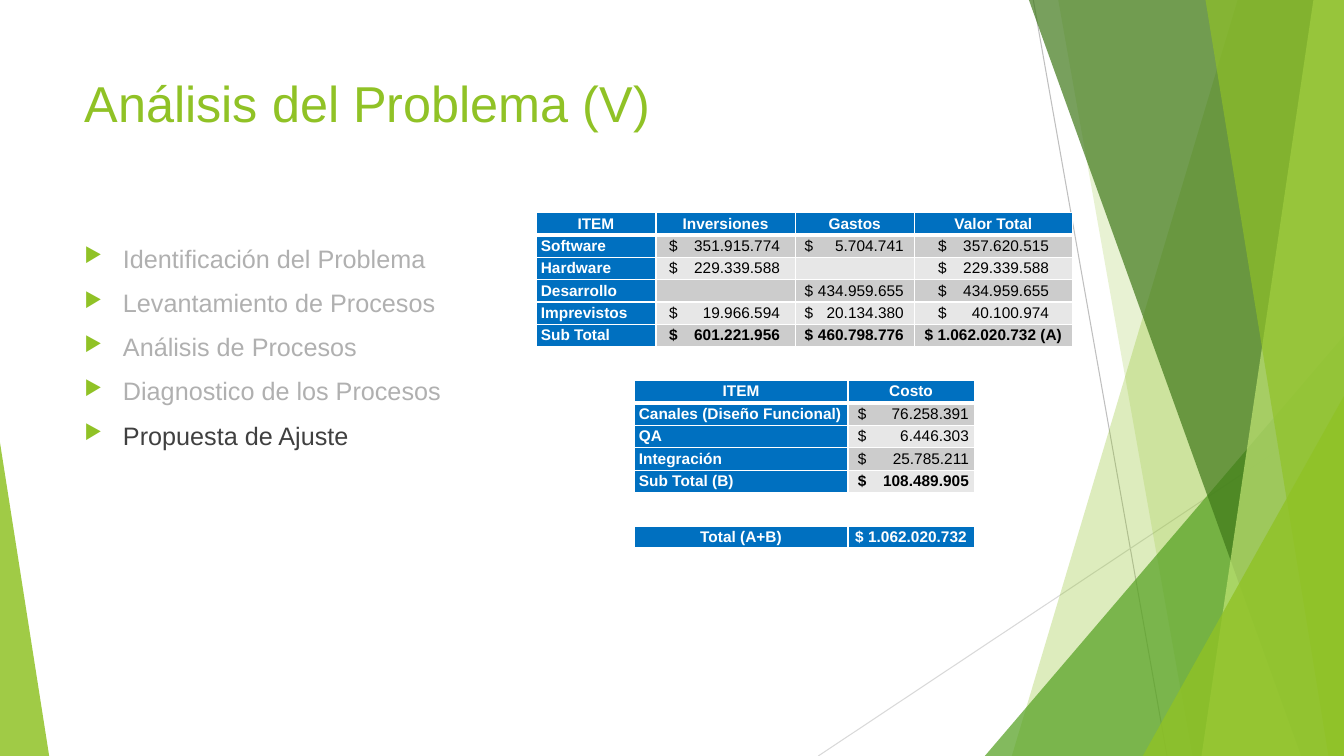
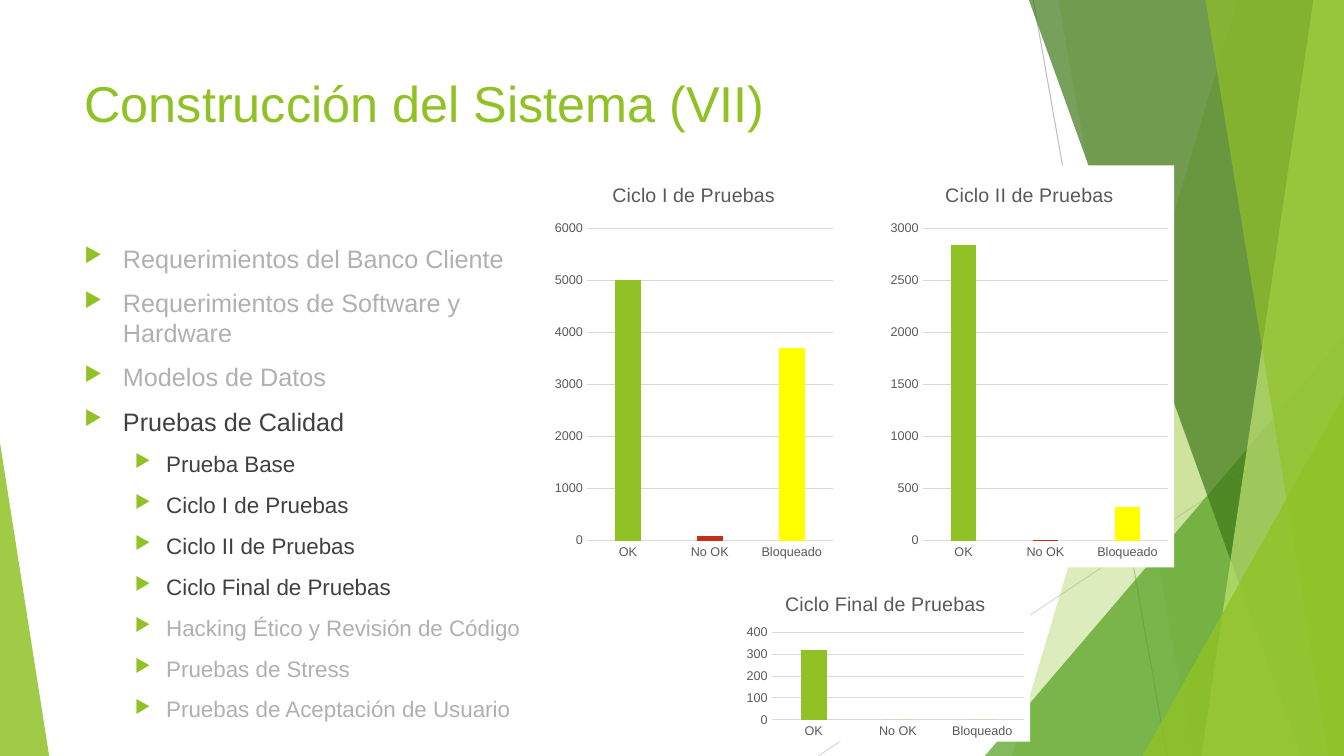
from lxml import etree
from pptx import Presentation
from pptx.chart.data import CategoryChartData
from pptx.dml.color import RGBColor
from pptx.enum.chart import XL_CHART_TYPE, XL_TICK_MARK
from pptx.enum.shapes import MSO_CONNECTOR, MSO_SHAPE
from pptx.enum.text import MSO_ANCHOR, PP_ALIGN
from pptx.oxml import parse_xml
from pptx.oxml.ns import nsdecls, qn
from pptx.util import Cm, Pt

COLUMNS = XL_CHART_TYPE.COLUMN_CLUSTERED
NO_TICK = XL_TICK_MARK.NONE
STRAIGHT = MSO_CONNECTOR.STRAIGHT
TRIANGLE = MSO_SHAPE.ISOSCELES_TRIANGLE
MIDDLE = MSO_ANCHOR.MIDDLE
LEFT, CENTER = PP_ALIGN.LEFT, PP_ALIGN.CENTER

FONT = "Arial"
GREEN, DARK, MUTED = "90C226", "404040", "B0B0B0"
BLUE, WHITE, BLACK = "0070C0", "FFFFFF", "000000"
BANDING = ("E7E7E7", "CCCCCC")
CHART_TEXT, CHART_LINE = "595959", "D9D9D9"
POINT_COLORS = (GREEN, "C42F1A", "FFFF00")

WIDTH, HEIGHT = 33.87, 19.05
INSET = 0.12

RAYS = [
    (26.04, 0, 29.41, HEIGHT, "BFBFBF"),
    (WIDTH, 10.24, 20.62, HEIGHT, "D9D9D9"),
]
FACETS = [
    ("band", (31.19, 25.5), GREEN, 30),
    ("band", (26.67, 30.05), GREEN, 20),
    ("triangle", (24.82, 8.46, WIDTH, 1), "54A021", 72),
    ("band", (25.93, 32.79), "3F7819", 70),
    ("band", (33.1, 30.28), "C0E474", 70),
    ("band", (30.38, 33.48), GREEN, 65),
    ("triangle", (28.8, 9.98, WIDTH, 1), GREEN, 80),
    ("triangle", (0, 11.15, 1.24, 0), GREEN, 85),
]

LEVELS = [(18, 0.97, 0.97), (16, 2.06, 0.79)]

PROBLEM_TITLE = "Análisis del Problema (V)"
PROBLEM_TOPICS = [
    ("Identificación del Problema", 0, MUTED),
    ("Levantamiento de Procesos", 0, MUTED),
    ("Análisis de Procesos", 0, MUTED),
    ("Diagnostico de los Procesos", 0, MUTED),
    ("Propuesta de Ajuste", 0, DARK),
]
LABEL_INSET_TAB = (INSET, 0)
COST_COLUMNS = [(5.39, *LABEL_INSET_TAB), (3.18, 0.25, 2.8)]
COST_TABLES = [
    {
        "place": (13.51, 5.36, 3.38),
        "columns": [(3.02, *LABEL_INSET_TAB), (3.51, 0.33, 2.8), (3, 0.24, 2.5), (3.99, 0.6, 2.8)],
        "rows": [
            ("ITEM", "Inversiones", "Gastos", "Valor Total"),
            ("Software", "$\t351.915.774", "$\t5.704.741", "$\t357.620.515"),
            ("Hardware", "$\t229.339.588", "", "$\t229.339.588"),
            ("Desarrollo", "", "$\t434.959.655", "$\t434.959.655"),
            ("Imprevistos", "$\t19.966.594", "$\t20.134.380", "$\t40.100.974"),
            ("Sub Total", "$\t601.221.956", "$\t460.798.776", "$ 1.062.020.732 (A)"),
        ],
    },
    {
        "place": (15.98, 9.58, 2.84),
        "columns": COST_COLUMNS,
        "rows": [
            ("ITEM", "Costo"),
            ("Canales (Diseño Funcional)", "$\t76.258.391"),
            ("QA", "$\t6.446.303"),
            ("Integración", "$\t25.785.211"),
            ("Sub Total (B)", "$\t108.489.905"),
        ],
    },
    {
        "place": (15.98, 13.26, 0.56),
        "columns": COST_COLUMNS,
        "rows": [("Total (A+B)", "$ 1.062.020.732")],
    },
]

BUILD_TITLE = "Construcción del Sistema (VII)"
BUILD_TOPICS = [
    ("Requerimientos del Banco Cliente", 0, MUTED),
    ("Requerimientos de Software y Hardware", 0, MUTED),
    ("Modelos de Datos", 0, MUTED),
    ("Pruebas de Calidad", 0, DARK),
    ("Prueba Base", 1, DARK),
    ("Ciclo I de Pruebas", 1, DARK),
    ("Ciclo II de Pruebas", 1, DARK),
    ("Ciclo Final de Pruebas", 1, DARK),
    ("Hacking Ético y Revisión de Código", 1, MUTED),
    ("Pruebas de Stress", 1, MUTED),
    ("Pruebas de Aceptación de Usuario", 1, MUTED),
]
OUTCOMES = ("OK", "No OK", "Bloqueado")
CYCLES = [
    ("Ciclo I de Pruebas", (5000, 100, 3700), 6000, 1000, (13.84, 4.17, 7.29, 10.13)),
    ("Ciclo II de Pruebas", (2840, 10, 320), 3000, 500, (22.3, 4.17, 7.29, 10.13)),
    ("Ciclo Final de Pruebas", (320, 0, 0), 400, 100, (18.67, 14.6, 7.29, 4.09)),
]


def rgb(value):
    return RGBColor.from_string(value)


def cm(values):
    return [Cm(value) for value in values]


def style_font(font, size, color, bold=False):
    font.name, font.size, font.bold = FONT, Pt(size), bold
    font.color.rgb = rgb(color)


def write(paragraph, text, size=18, color=DARK, bold=False, align=LEFT):
    paragraph.alignment = align
    if text:
        run = paragraph.add_run()
        run.text = text
        style_font(run.font, size, color, bold)
    else:
        etree.SubElement(paragraph._p, qn("a:endParaRPr"), sz=str(size * 100))


def paint(shape, color, opacity):
    shape.shadow.inherit = False
    shape.fill.solid()
    shape.fill.fore_color.rgb = rgb(color)
    tint = shape.element.spPr.find(".//" + qn("a:srgbClr"))
    etree.SubElement(tint, qn("a:alpha"), val=str(opacity * 1000))
    shape.line.fill.background()


def add_backdrop(slide):
    for *ends, color in RAYS:
        ray = slide.shapes.add_connector(STRAIGHT, *cm(ends))
        ray.line.color.rgb = rgb(color)
        ray.line.width = Pt(0.75)
        etree.SubElement(ray.element.spPr, qn("a:effectLst"))
    for kind, geometry, color, opacity in FACETS:
        if kind == "band":
            top_x, bottom_x = geometry
            outline = slide.shapes.build_freeform(Cm(top_x), 0)
            corners = [(WIDTH, 0), (WIDTH, HEIGHT), (bottom_x, HEIGHT)]
            outline.add_line_segments([cm(corner) for corner in corners], close=True)
            facet = outline.convert_to_shape()
        else:
            left, top, right, apex = geometry
            box = cm((left, top, right - left, HEIGHT - top))
            facet = slide.shapes.add_shape(TRIANGLE, *box)
            facet.adjustments[0] = apex
        paint(facet, color, opacity)


def add_frame(slide, *box):
    frame = slide.shapes.add_textbox(*cm(box)).text_frame
    frame.word_wrap = True
    return frame


def set_bullet(paragraph, indent, hanging):
    properties = paragraph._p.get_or_add_pPr()
    properties.set("marL", str(Cm(indent)))
    properties.set("indent", str(-Cm(hanging)))
    bullet_color = etree.SubElement(properties, qn("a:buClr"))
    etree.SubElement(bullet_color, qn("a:srgbClr"), val=GREEN)
    etree.SubElement(properties, qn("a:buSzPct"), val="80000")
    etree.SubElement(properties, qn("a:buChar"), char="▶")


def add_topics(slide, topics, height):
    frame = add_frame(slide, 1.88, 6, 11.63, height)
    for index, (topic, level, color) in enumerate(topics):
        paragraph = frame.add_paragraph() if index else frame.paragraphs[0]
        size, indent, hanging = LEVELS[level]
        set_bullet(paragraph, indent, hanging)
        paragraph.level = level
        if index:
            paragraph.space_before = Pt(10)
        write(paragraph, topic, size=size, color=color)


def set_borders(cell, top, bottom):
    properties = cell._tc.get_or_add_tcPr()
    for side, width in (("L", 1), ("R", 1), ("T", top), ("B", bottom)):
        border = etree.SubElement(properties, qn(f"a:ln{side}"), w=str(Pt(width)))
        fill = etree.SubElement(border, qn("a:solidFill"))
        etree.SubElement(fill, qn("a:srgbClr"), val=WHITE)


def set_right_tab(paragraph, position):
    stops = etree.SubElement(paragraph._p.get_or_add_pPr(), qn("a:tabLst"))
    etree.SubElement(stops, qn("a:tab"), pos=str(Cm(position)), algn="r")


def add_cost_table(slide, place, columns, rows):
    left, top, height = place
    width = sum(column[0] for column in columns)
    table = slide.shapes.add_table(len(rows), len(columns), *cm((left, top, width, height))).table
    table.horz_banding = False
    for column, (column_width, _, _) in zip(table.columns, columns):
        column.width = Cm(column_width)
    for r, row in enumerate(rows):
        table.rows[r].height = Cm(height / len(rows))
        for c, text in enumerate(row):
            cell = table.cell(r, c)
            heading = r == 0 or c == 0
            amount = text.startswith("$\t")
            _, inset, tab = columns[c]
            set_borders(cell, 3 if r == 1 else 1, 3 if r == 0 else 1)
            cell.fill.solid()
            cell.fill.fore_color.rgb = rgb(BLUE if heading else BANDING[r % 2])
            cell.vertical_anchor = MIDDLE
            cell.margin_left = Cm(inset if amount else INSET)
            cell.margin_right = Cm(INSET)
            cell.margin_top = cell.margin_bottom = 0
            paragraph = cell.text_frame.paragraphs[0]
            if amount:
                set_right_tab(paragraph, tab)
            write(paragraph, text, size=11, color=WHITE if heading else BLACK,
                  bold=heading or r == len(rows) - 1,
                  align=LEFT if amount or (c == 0 and r > 0) else CENTER)


def add_cycle_chart(slide, title, counts, maximum, step, box):
    data = CategoryChartData()
    data.categories = OUTCOMES
    data.add_series("Series 1", counts)
    chart = slide.shapes.add_chart(COLUMNS, *cm(box), data).chart
    style_font(chart.font, 10, BLACK)
    chart.has_legend = False
    chart.has_title = True
    write(chart.chart_title.text_frame.paragraphs[0], title, size=14, color=CHART_TEXT, align=CENTER)
    chart.chart_title.include_in_layout = False
    background = parse_xml(
        f'<c:spPr {nsdecls("c", "a")}><a:solidFill><a:srgbClr val="{WHITE}"/></a:solidFill>'
        "<a:ln><a:noFill/></a:ln></c:spPr>")
    chart.element.find(qn("c:txPr")).addprevious(background)

    for axis in (chart.category_axis, chart.value_axis):
        axis.major_tick_mark = axis.minor_tick_mark = NO_TICK
        style_font(axis.tick_labels.font, 9, CHART_TEXT)
    scale = chart.value_axis
    scale.minimum_scale, scale.maximum_scale, scale.major_unit = 0, maximum, step
    scale.format.line.fill.background()
    for line in (chart.category_axis.format.line, scale.major_gridlines.format.line):
        line.color.rgb = rgb(CHART_LINE)
        line.width = Pt(0.75)

    plot = chart.plots[0]
    plot.gap_width, plot.overlap, plot.vary_by_categories = 219, -27, False
    series = plot.series[0]
    series.format.fill.solid()
    series.format.fill.fore_color.rgb = rgb(GREEN)
    for index, count in enumerate(counts):
        if index and count:
            fill = series.points[index].format.fill
            fill.solid()
            fill.fore_color.rgb = rgb(POINT_COLORS[index])


def add_slide(deck, title, topics, topics_height):
    slide = deck.slides.add_slide(deck.slide_layouts[6])
    add_backdrop(slide)
    heading = add_frame(slide, 1.88, 1.7, 23.88, 3.66)
    write(heading.paragraphs[0], title, size=36, color=GREEN)
    add_topics(slide, topics, topics_height)
    return slide


def main():
    deck = Presentation()
    deck.slide_width, deck.slide_height = cm((WIDTH, HEIGHT))
    problem = add_slide(deck, PROBLEM_TITLE, PROBLEM_TOPICS, 10.77)
    for cost_table in COST_TABLES:
        add_cost_table(problem, **cost_table)
    build = add_slide(deck, BUILD_TITLE, BUILD_TOPICS, 12.67)
    for cycle in CYCLES:
        add_cycle_chart(build, *cycle)
    deck.save("out.pptx")


if __name__ == "__main__":
    main()
